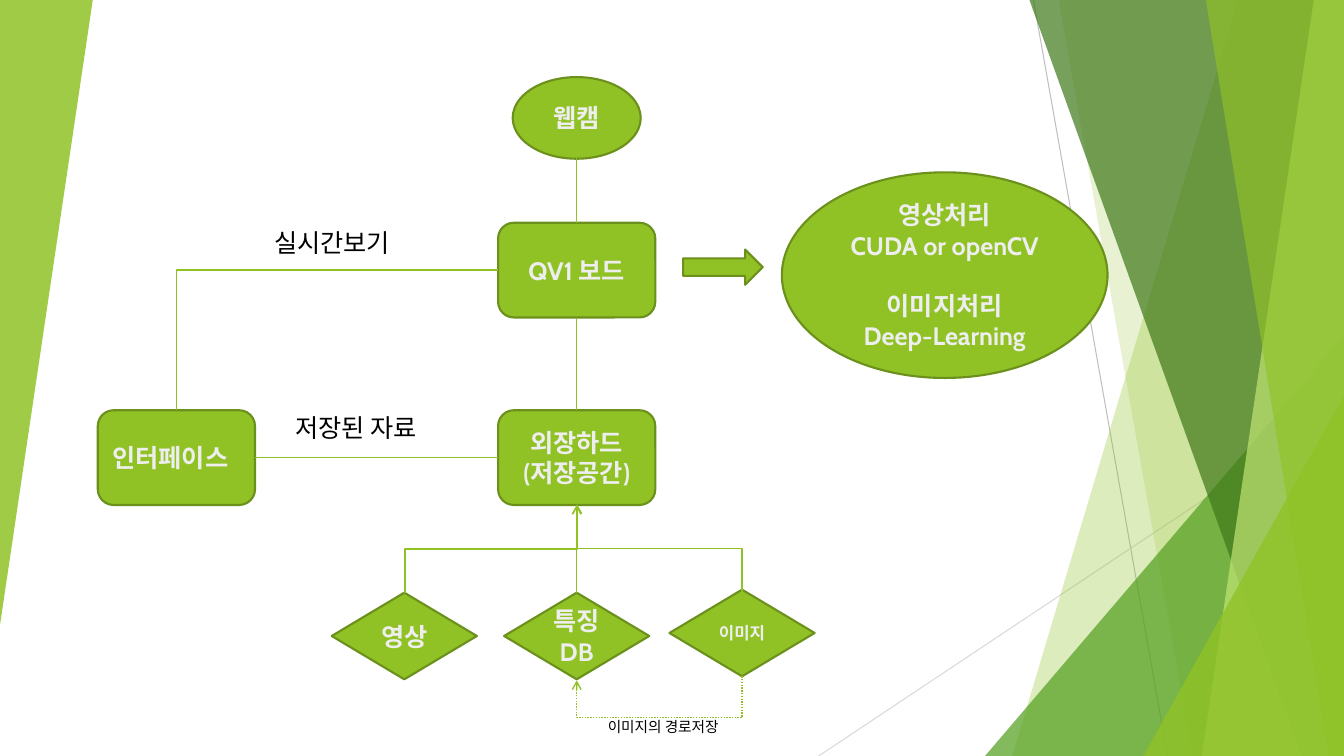
import pptx
import pptx.dml.color
import pptx.enum.dml
import pptx.enum.shapes
import pptx.enum.text
import pptx.oxml
import pptx.oxml.ns
import pptx.util

Inches = pptx.util.Inches
Pt = pptx.util.Pt
SHAPE = pptx.enum.shapes.MSO_SHAPE
CONNECTOR = pptx.enum.shapes.MSO_CONNECTOR
ALIGN = pptx.enum.text.PP_ALIGN
MIDDLE = pptx.enum.text.MSO_ANCHOR.MIDDLE
qn = pptx.oxml.ns.qn
NAMESPACE = pptx.oxml.ns.nsdecls("a")

WIDTH, HEIGHT = 13.33, 7.5
GREEN, EDGE, LIGHT = "90C226", "6B901C", "EEEEEE"
MAIN_X, SIDE_X = 5.72, 1.75  # centres of the two box columns
BOX = (1.56, 0.94)
DIAMOND = (1.44, 0.86)


def color(hex_string):
    return pptx.dml.color.RGBColor.from_string(hex_string)


def write(shape, lines, size, font_color, bold, align):
    """Fill a shape with one formatted paragraph per line."""
    frame = shape.text_frame
    frame.text = "\n".join(lines)
    for paragraph in frame.paragraphs:
        paragraph.alignment = align
        for run in paragraph.runs:
            run.font.name = "Cabin"
            run.font.size = Pt(size)
            run.font.bold = bold
            run.font.color.rgb = color(font_color)


presentation = pptx.Presentation()
presentation.slide_width = Inches(WIDTH)
presentation.slide_height = Inches(HEIGHT)
slide = presentation.slides.add_slide(presentation.slide_layouts[6])
shapes = slide.shapes

# Background rays
connectors = []
for x1, y1, x2, y2, gray in [
    (10.25, 0, 11.58, HEIGHT, "BFBFBF"),
    (WIDTH, 4.03, 8.12, HEIGHT, "D9D9D9"),
]:
    ray = shapes.add_connector(CONNECTOR.STRAIGHT, Inches(x1), Inches(y1), Inches(x2), Inches(y2))
    connectors.append((ray, gray, 0.75))

# Background facets: a pair gives the left edge's top and bottom x of a four-sided facet,
# five values give a triangle's left, top, width, height and rotation
for outline, fill, opacity in [
    ((12.28, 10.04), GREEN, 30),
    ((10.5, 11.83), GREEN, 20),
    ((9.77, 3.33, 3.56, 4.17, 0), "54A021", 72),
    ((10.21, 12.91), "3F7819", 70),
    ((13.03, 11.92), "C0E474", 70),
    ((11.96, 13.18), GREEN, 65),
    ((11.34, 3.93, 1.99, 3.57, 0), GREEN, 80),
    ((0, 0, 0.92, 6.2, 180), GREEN, 85),
]:
    if len(outline) == 2:
        top_x, bottom_x = outline
        builder = shapes.build_freeform(Inches(top_x), 0)
        corners = [(WIDTH, 0), (WIDTH, HEIGHT), (bottom_x, HEIGHT)]
        builder.add_line_segments([(Inches(x), Inches(y)) for x, y in corners])
        facet = builder.convert_to_shape()
    else:
        facet = shapes.add_shape(
            SHAPE.ISOSCELES_TRIANGLE, *[Inches(length) for length in outline[:4]])
        facet.adjustments[0] = 1
        facet.rotation = outline[4]
    facet.shadow.inherit = False
    facet.line.fill.background()
    facet.fill.solid()
    facet.fill.fore_color.rgb = color(fill)
    alpha = pptx.oxml.parse_xml(f'<a:alpha {NAMESPACE} val="{opacity * 1000}"/>')
    facet._element.spPr.find(qn("a:solidFill"))[0].append(alpha)

# Diagram nodes: kind, centre, size, lines, text size
nodes = {}
for name, kind, x, y, (width, height), lines, size in [
    ("interface", SHAPE.ROUNDED_RECTANGLE, SIDE_X, 4.54, BOX, ["인터페이스"], 18),
    ("board", SHAPE.ROUNDED_RECTANGLE, MAIN_X, 2.68, BOX, ["QV1 보드"], 18),
    ("disk", SHAPE.ROUNDED_RECTANGLE, MAIN_X, 4.54, BOX, ["외장하드", "(저장공간)"], 18),
    ("webcam", SHAPE.OVAL, MAIN_X, 1.17, (1.27, 0.81), ["웹캠"], 18),
    ("video", SHAPE.FLOWCHART_DECISION, 4.01, 6.31, DIAMOND, ["영상"], 18),
    ("features", SHAPE.FLOWCHART_DECISION, MAIN_X, 6.31, DIAMOND, ["특징DB"], 18),
    ("images", SHAPE.FLOWCHART_DECISION, 7.36, 6.28, DIAMOND, ["이미지"], 12),
    ("arrow", SHAPE.RIGHT_ARROW, 7.17, 2.65, (0.79, 0.35), [], 18),
    ("processing", SHAPE.OVAL, 9.37, 2.73, (3.23, 2.04),
     ["영상처리", "CUDA or openCV", "이미지처리", "Deep-Learning"], 18),
]:
    node = shapes.add_shape(
        kind, Inches(x - width / 2), Inches(y - height / 2), Inches(width), Inches(height))
    node.shadow.inherit = False
    node.fill.solid()
    node.fill.fore_color.rgb = color(GREEN)
    node.line.color.rgb = color(EDGE)
    node.line.width = Pt(1.5)
    node.text_frame.vertical_anchor = MIDDLE
    if lines:
        align = ALIGN.LEFT if name == "interface" else ALIGN.CENTER
        write(node, lines, size, LIGHT, True, align)
    nodes[name] = node
nodes["processing"].text_frame.paragraphs[2].space_before = Pt(21.5)

# Straight links
arrows = []
for start, start_side, end, end_side in [
    ("webcam", 2, "board", 0),
    ("disk", 0, "board", 2),
    ("interface", 3, "disk", 1),
    ("features", 0, "disk", 2),
]:
    link = shapes.add_connector(CONNECTOR.STRAIGHT, Inches(MAIN_X), Inches(1.57), 0, 0)
    if start != "webcam":
        link.begin_connect(nodes[start], start_side)
    link.end_connect(nodes[end], end_side)
    connectors.append((link, GREEN, 1))
    if start == "features":
        arrows.append(link)

# Elbow links: frame before turning, rotation, flips, preset, bend position
for left, top, width, height, degrees, flips, preset, bend in [
    (6.12, 4.62, 0.84, 1.64, 270, "H", "bentConnector3", 0.5),
    (2.65, 1.78, 1.39, 3.19, 90, "HV", "bentConnector2", None),
    (6.52, 5.91, 0.04, 1.64, 90, "", "bentConnector3", 10.2),
    (4.43, 4.59, 0.88, 1.71, 90, "HV", "bentConnector3", 0.5),
]:
    link = shapes.add_connector(
        CONNECTOR.ELBOW, Inches(left), Inches(top), Inches(left + width), Inches(top + height))
    frame = link._element.spPr.find(qn("a:xfrm"))
    frame.set("rot", str(degrees * 60000))
    for flip in flips:
        frame.set("flip" + flip, "1")
    geometry = link._element.spPr.find(qn("a:prstGeom"))
    geometry.set("prst", preset)
    if bend:
        geometry.find(qn("a:avLst")).append(pptx.oxml.parse_xml(
            f'<a:gd {NAMESPACE} name="adj1" fmla="val {round(bend * 100000)}"/>'))
    connectors.append((link, GREEN, 1))
    if degrees == 90 and bend:
        arrows.append(link)
    if bend and bend > 1:
        link.line.dash_style = pptx.enum.dml.MSO_LINE.ROUND_DOT

for link, line_color, width in connectors:
    link.line.color.rgb = color(line_color)
    link.line.width = Pt(width)
    link._element.spPr.append(pptx.oxml.parse_xml(f"<a:effectLst {NAMESPACE}/>"))
for link in arrows:
    link._element.spPr.find(qn("a:ln")).append(
        pptx.oxml.parse_xml(f'<a:tailEnd {NAMESPACE} type="arrow"/>'))

# Labels beside the links
for text, left, top, width, height, size in [
    ("실시간보기", 2.62, 2.21, 1.46, 0.4, 18),
    ("저장된 자료", 2.83, 4.04, 1.54, 0.4, 18),
    ("이미지의 경로저장", 5.93, 7.07, 1.42, 0.28, 10.5),
]:
    label = shapes.add_textbox(Inches(left), Inches(top), Inches(width), Inches(height))
    label.text_frame.word_wrap = False
    write(label, [text], size, "000000", False, ALIGN.LEFT)

presentation.save("out.pptx")
